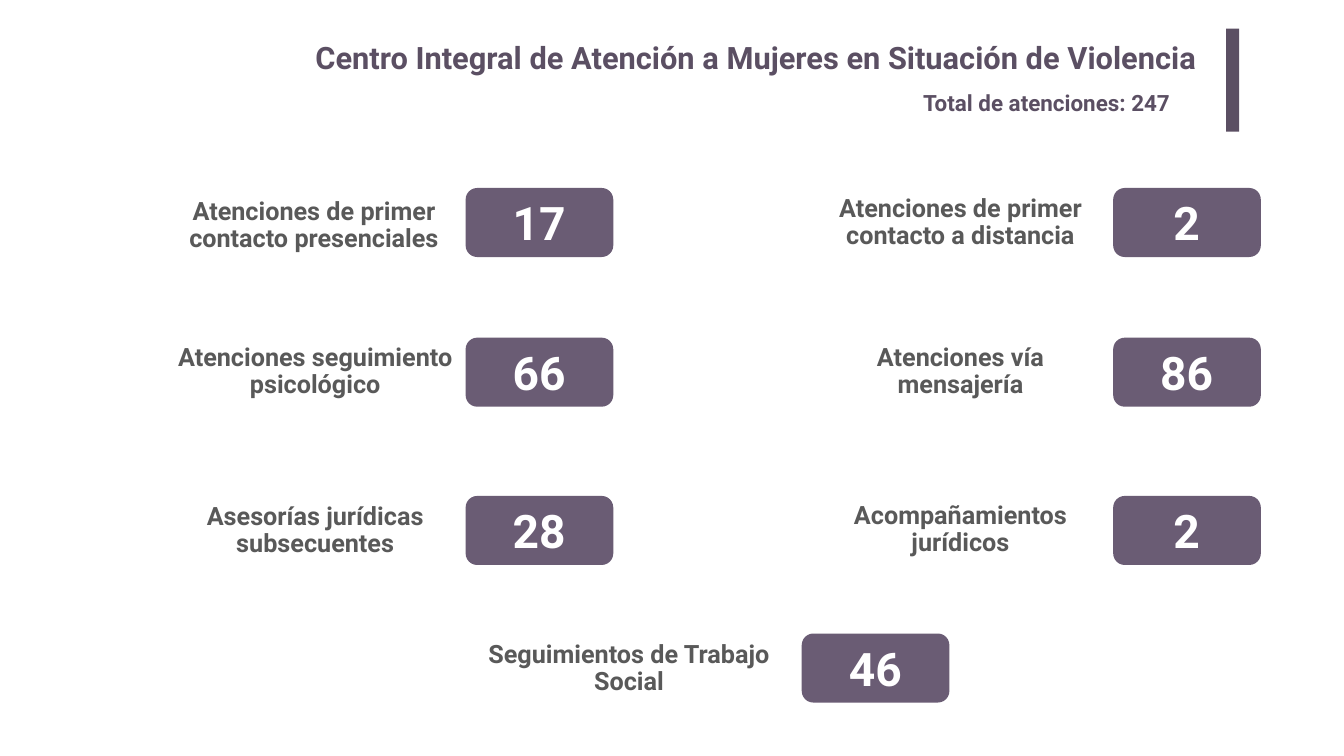
from pptx import Presentation
from pptx.dml.color import RGBColor
from pptx.enum.shapes import MSO_SHAPE
from pptx.enum.text import MSO_ANCHOR, MSO_AUTO_SIZE, PP_ALIGN
from pptx.util import Pt

PX = 9144
FONT = "Roboto"
DARK, PURPLE, GREY, WHITE = "5B4F63", "6A5C74", "595959", "FFFFFF"
LEFT_COL, RIGHT_COL, LAST_COL = 924, 2209, 1591
ROWS = (373, 670, 984, 1257)
CARD_W, CARD_H = 293, 137
VALUE_W, VALUE_H = 204, 121

INDICATORS = [
    (LEFT_COL, ROWS[0], "17", "Atenciones de primer contacto presenciales", (349, 380, 548, 137)),
    (RIGHT_COL, ROWS[0], "2", "Atenciones de primer contacto a distancia", (1648, 381, 516, 121)),
    (LEFT_COL, ROWS[1], "66", "Atenciones seguimiento psicológico", (235, 712, 781, 53)),
    (RIGHT_COL, ROWS[1], "86", "Atenciones vía mensajería", (1610, 686, 592, 105)),
    (LEFT_COL, ROWS[2], "28", "Asesorías jurídicas subsecuentes", (323, 1013, 605, 80)),
    (RIGHT_COL, ROWS[2], "2", "Acompañamientos jurídicos", (1583, 1020, 646, 64)),
    (LAST_COL, ROWS[3], "46", "Seguimientos de Trabajo Social", (924, 1257, 648, 141)),
]


def px(*values):
    """Turn px lengths into EMU."""
    return [v * PX for v in values]


def color(hex_value):
    """Return the colour of a hex string."""
    return RGBColor.from_string(hex_value)


def write(s, text, size, hex_value, align=PP_ALIGN.CENTER, anchor=MSO_ANCHOR.TOP,
          spacing=None, inset=(10, 5)):
    """Write one bold paragraph into a shape."""
    tf = s.text_frame
    tf.word_wrap = True
    tf.auto_size = MSO_AUTO_SIZE.NONE
    tf.vertical_anchor = anchor
    tf.margin_left = tf.margin_right = inset[0] * PX
    tf.margin_top = tf.margin_bottom = inset[1] * PX
    p = tf.paragraphs[0]
    p.alignment = align
    p.space_before = Pt(0)
    if spacing:
        p.line_spacing = spacing
    r = p.add_run()
    r.text = text
    r.font.name = FONT
    r.font.size = Pt(size)
    r.font.bold = True
    r.font.color.rgb = color(hex_value)


def add_title(slide, text, box):
    """Place and format the title placeholder."""
    s = slide.shapes.title
    s.left, s.top, s.width, s.height = px(*box)
    write(s, text, 44, DARK, PP_ALIGN.RIGHT, inset=(20, 10))


def add_text(slide, text, box, size, hex_value, **options):
    """Add a text box."""
    write(slide.shapes.add_textbox(*px(*box)), text, size, hex_value, **options)


def add_block(slide, kind, box, hex_value):
    """Add a filled shape without outline or shadow."""
    s = slide.shapes.add_shape(kind, *px(*box))
    s.shadow.inherit = False
    s.fill.solid()
    s.fill.fore_color.rgb = color(hex_value)
    s.line.fill.background()
    return s


def add_indicator(slide, left, top, value, label, label_box):
    """Add a label with its value on a rounded card."""
    add_text(slide, label, label_box, 36, GREY, anchor=MSO_ANCHOR.MIDDLE, spacing=0.9)
    card = add_block(slide, MSO_SHAPE.ROUNDED_RECTANGLE, (left, top, CARD_W, CARD_H), PURPLE)
    card.adjustments[0] = 0.167
    value_left = left + (CARD_W - VALUE_W) // 2
    value_top = top + (CARD_H - VALUE_H) // 2
    add_text(slide, value, (value_left, value_top, VALUE_W, VALUE_H), 66, WHITE)


def main():
    """Build and save the slide."""
    prs = Presentation()
    prs.slide_width, prs.slide_height = px(2667, 1500)
    slide = prs.slides.add_slide(prs.slide_layouts[5])
    slide.background.fill.solid()
    slide.background.fill.fore_color.rgb = color(WHITE)
    add_title(slide, "Centro Integral de Atención a Mujeres en Situación de Violencia",
              (366, 67, 2030, 102))
    add_block(slide, MSO_SHAPE.RECTANGLE, (2433, 57, 26, 204), DARK)
    add_text(slide, "Total de atenciones: 247", (1822, 171, 592, 64), 32, DARK,
             align=PP_ALIGN.LEFT)
    for indicator in INDICATORS:
        add_indicator(slide, *indicator)
    prs.save("out.pptx")


if __name__ == "__main__":
    main()
